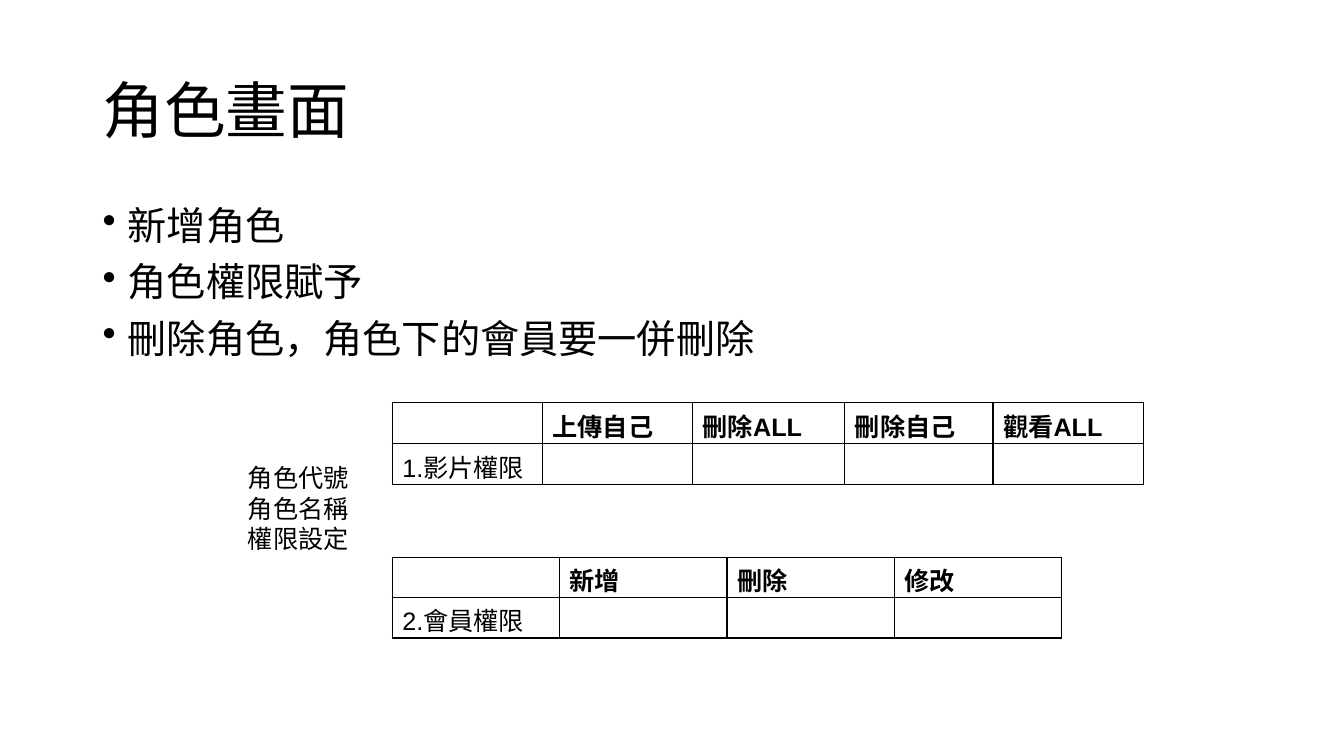
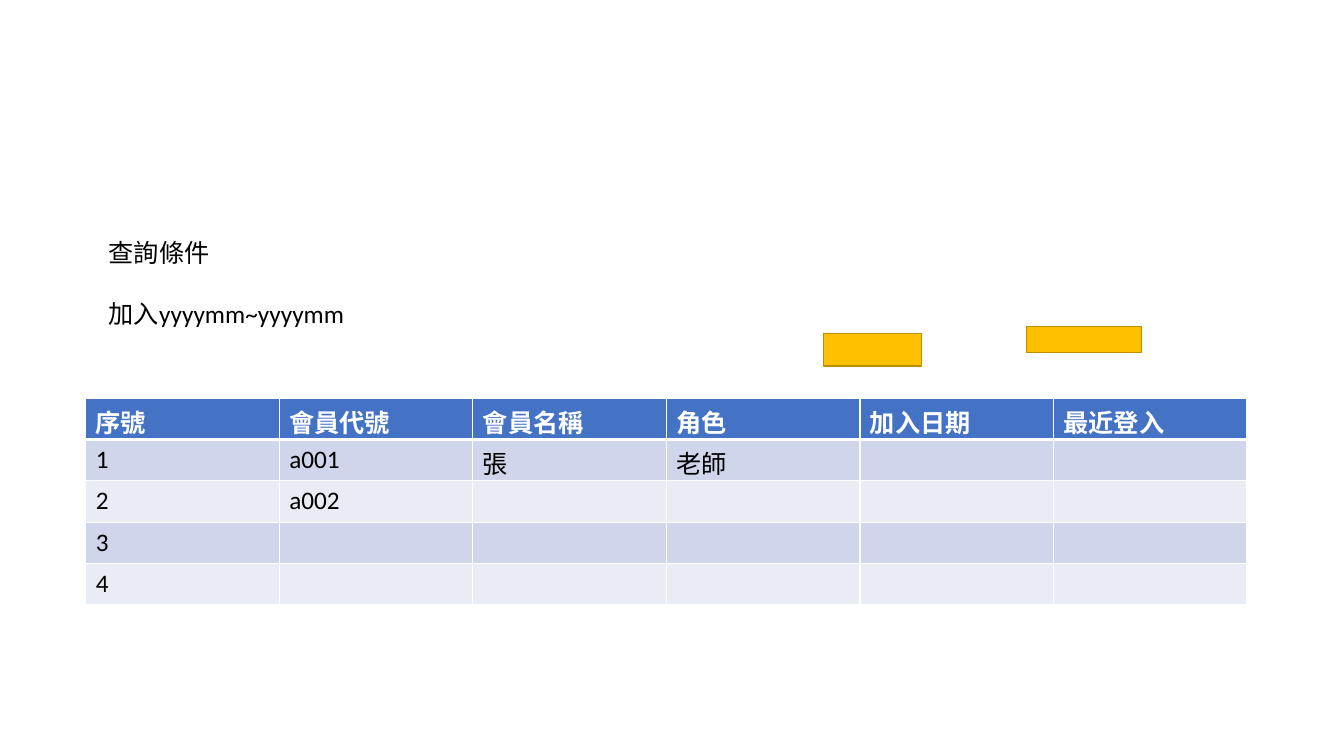
import pptx
import pptx.util
import pptx.dml.color
import pptx.enum.shapes
import pptx.enum.text
import pptx.oxml
import lxml.etree

Inches = pptx.util.Inches
Pt = pptx.util.Pt
Anchor = pptx.enum.text.MSO_ANCHOR


class Theme:
    ink = "000000"
    paper = "FFFFFF"
    head = "4472C4"
    bands = ("CFD5EA", "E9EBF5")
    gold = "FFC000"
    edge = "BD8E00"
    font = "Calibri"
    grid = "Arial"
    title = 44
    body = 28
    small = 18


TITLE = "角色畫面"
POINTS = ["新增角色", "角色權限賦予", "刪除角色，角色下的會員要一併刪除"]
FIELDS = ["角色代號", "角色名稱", "權限設定"]
RIGHTS = [
    (3.99, [1.49, 1.49, 1.51, 1.47, 1.49], 0.41,
     [["", "上傳自己", "刪除ALL", "刪除自己", "觀看ALL"], ["1.影片權限"]]),
    (5.53, [1.66] * 4, 0.4,
     [["", "新增", "刪除", "修改"], ["2.會員權限"]]),
]
QUERY = ["查詢條件", "加入yyyymm~yyyymm"]
MEMBERS = [
    ["序號", "會員代號", "會員名稱", "角色", "加入日期", "最近登入"],
    ["1", "a001", "張", "老師"],
    ["2", "a002"],
    ["3"],
    ["4"],
]
BUTTONS = [(10.18, 3.24, 1.14, 0.26), (8.17, 3.31, 0.97, 0.32)]


def color(code):
    return pptx.dml.color.RGBColor.from_string(code)


def write(frame, lines, size=Theme.small, font=Theme.font, ink=Theme.ink,
          bold=False, gap=0, line=None, bullet=None, anchor=Anchor.TOP):
    frame.word_wrap = True
    frame.vertical_anchor = anchor
    for i, text in enumerate(lines):
        para = frame.paragraphs[0] if i == 0 else frame.add_paragraph()
        if bullet:
            props = para._p.get_or_add_pPr()
            props.set("marL", str(Inches(0.25)))
            props.set("indent", str(-Inches(0.25)))
            mark = lxml.etree.SubElement(props, pptx.oxml.ns.qn("a:buChar"))
            mark.set("char", bullet)
        if line:
            para.line_spacing = line
        para.space_before = Pt(gap if i else 0)
        run = para.add_run()
        run.text = text
        run.font.size = Pt(size)
        run.font.name = font
        run.font.bold = bold
        run.font.color.rgb = color(ink)


def label(slide, box, lines, **style):
    shape = slide.shapes.add_textbox(*map(Inches, box))
    write(shape.text_frame, lines, **style)


def border(cell, ink, low=1):
    props = cell._tc.get_or_add_tcPr()
    for side, width in (("L", 1), ("R", 1), ("T", 1), ("B", low)):
        line = lxml.etree.SubElement(props, pptx.oxml.ns.qn("a:ln" + side))
        line.set("w", str(Pt(width)))
        fill = lxml.etree.SubElement(line, pptx.oxml.ns.qn("a:solidFill"))
        tone = lxml.etree.SubElement(fill, pptx.oxml.ns.qn("a:srgbClr"))
        tone.set("val", ink)


def table(slide, left, top, cols, height, rows, font=Theme.font, banded=False):
    box = (left, top, sum(cols), height * len(rows))
    grid = slide.shapes.add_table(len(rows), len(cols), *map(Inches, box)).table
    grid.first_row = banded
    grid.horz_banding = banded
    for col, width in zip(grid.columns, cols):
        col.width = Inches(width)
    for r, row in enumerate(rows):
        grid.rows[r].height = Inches(height)
        for c in range(len(cols)):
            cell = grid.cell(r, c)
            header = r == 0
            if banded:
                border(cell, Theme.paper, low=3 if header else 1)
                cell.fill.solid()
                tone = Theme.head if header else Theme.bands[(r - 1) % 2]
                cell.fill.fore_color.rgb = color(tone)
            else:
                border(cell, Theme.ink)
                cell.fill.background()
                cell.margin_top = cell.margin_bottom = 0
                cell.vertical_anchor = Anchor.BOTTOM
            if c < len(row) and row[c]:
                write(cell.text_frame, [row[c]], font=font, bold=header,
                      ink=Theme.paper if banded and header else Theme.ink,
                      anchor=None)


def roles(slide):
    label(slide, (0.92, 0.4, 11.5, 1.45), [TITLE], size=Theme.title,
          line=0.9, anchor=Anchor.MIDDLE)
    label(slide, (0.92, 2, 11.5, 4.76), POINTS, size=Theme.body,
          line=0.9, gap=10, bullet="•")
    label(slide, (2.36, 4.54, 6.58, 1.62), FIELDS)
    for top, cols, height, rows in RIGHTS:
        table(slide, 3.89, top, cols, height, rows, font=Theme.grid)


def members(slide):
    table(slide, 0.85, 3.95, [1.92] * 6, 0.41, MEMBERS, banded=True)
    label(slide, (0.98, 2.3, 11.37, 1.31), QUERY, gap=22)
    for box in BUTTONS:
        shape = slide.shapes.add_shape(
            pptx.enum.shapes.MSO_SHAPE.RECTANGLE, *map(Inches, box))
        shape.shadow.inherit = False
        shape.fill.solid()
        shape.fill.fore_color.rgb = color(Theme.gold)
        shape.line.color.rgb = color(Theme.edge)
        shape.line.width = Pt(1)


def main():
    deck = pptx.Presentation()
    deck.slide_width = Inches(13.33)
    deck.slide_height = Inches(7.5)
    for draw in (roles, members):
        draw(deck.slides.add_slide(deck.slide_layouts[6]))
    deck.save("out.pptx")


if __name__ == "__main__":
    main()
